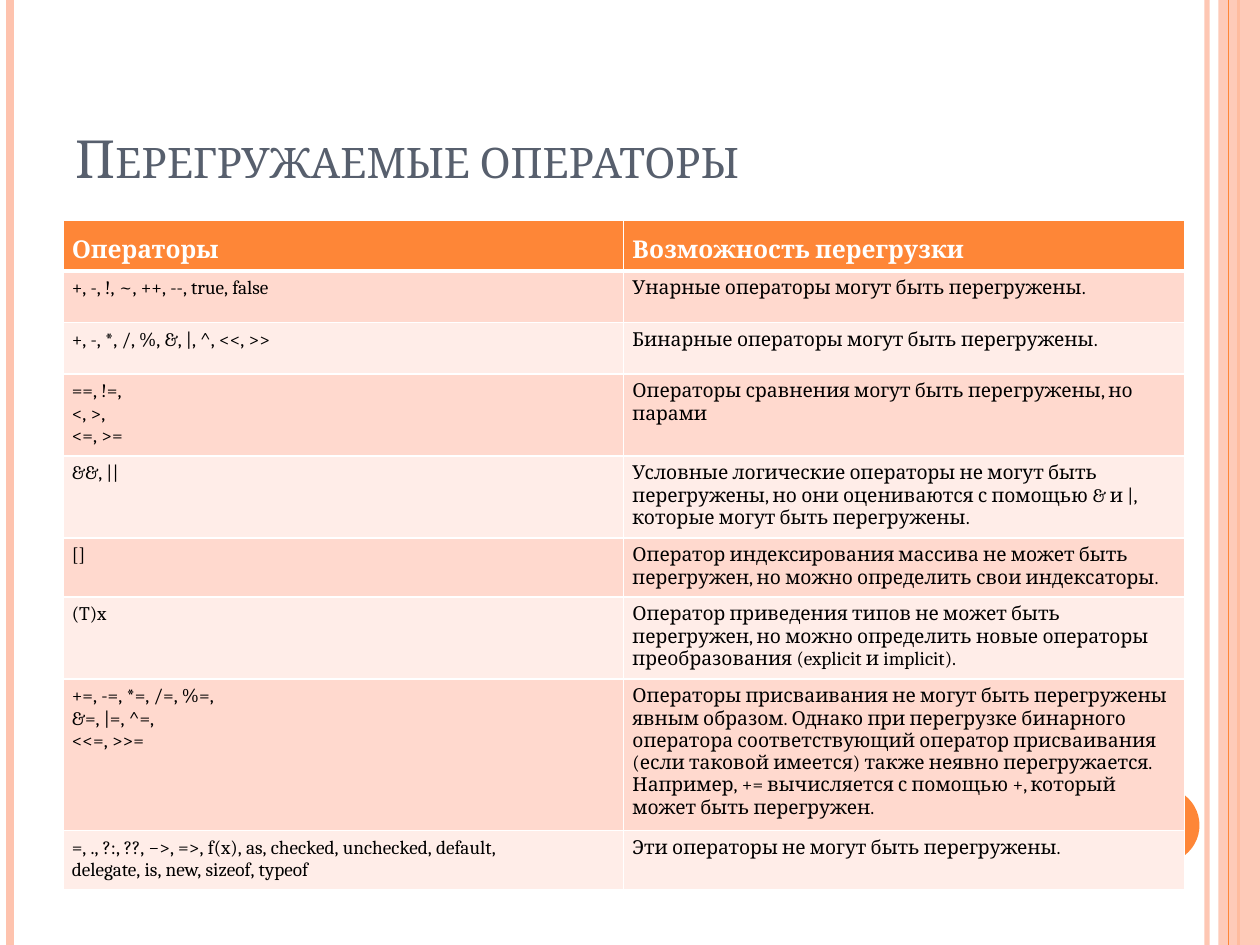
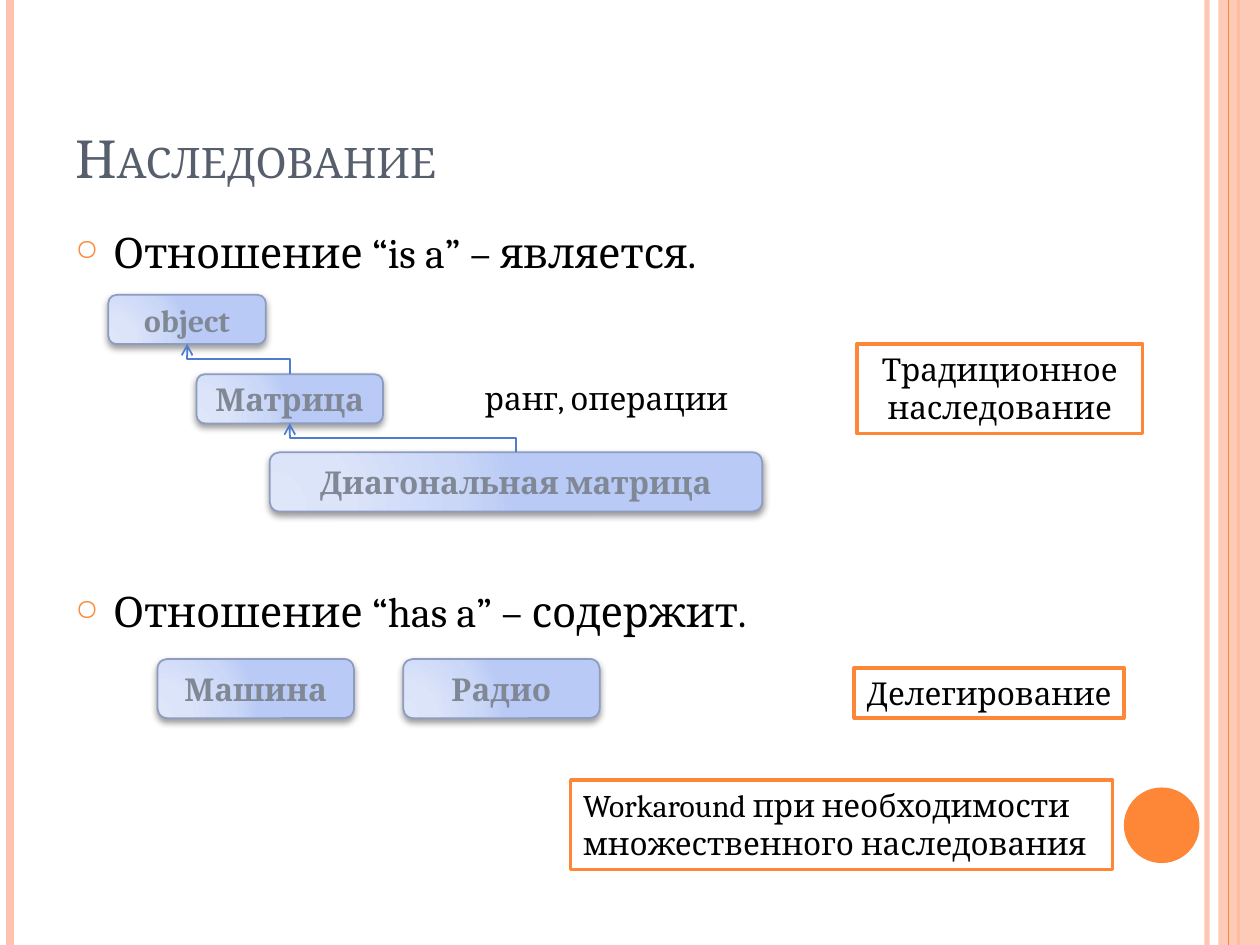
from lxml.etree import SubElement
from pptx import Presentation
from pptx.dml.color import RGBColor
from pptx.enum.shapes import MSO_CONNECTOR, MSO_SHAPE
from pptx.enum.text import MSO_ANCHOR, MSO_AUTO_SIZE, PP_ALIGN
from pptx.oxml import parse_xml
from pptx.oxml.ns import nsdecls, qn
from pptx.util import Inches, Pt

FONT = "Cambria"
ORANGE, PEACH, SLATE = "FE8637", "FEC3AE", "575F6D"
WHITE, BLACK = "FFFFFF", "000000"
BANDS = ("FFD9CE", "FFEDE8")
BOX_LINE, ARROW = "8D9CBF", "4F7CCF"
BOX_STOPS = [(0, "DEE6FA"), (30, "DBE4F9"), (75, "CAD7F7"), (100, "B8CAF5")]
BOX_PATH = ('<a:path path="circle"><a:fillToRect l="5000" t="100000" '
            'r="120000" b="10000"/></a:path>')
TEXT_STOPS = [(0, "383D45"), (78, "818895"), (100, "F3F4F5")]
TEXT_ANGLE = '<a:lin ang="5400000" scaled="0"/>'

HEADER = ("Операторы", "Возможность перегрузки")
ROWS = [
    (0.41, ["+, -, !, ~, ++, --, true, false"],
     "Унарные операторы могут быть перегружены."),
    (0.41, ["+, -, *, /, %, &, |, ^, <<, >>"],
     "Бинарные операторы могут быть перегружены."),
    (0.64, ["==, !=,", "<, >,", "<=, >="],
     "Операторы сравнения могут быть перегружены, но парами"),
    (0.64, ["&&, ||"],
     "Условные логические операторы не могут быть перегружены, но они "
     "оцениваются с помощью\u00a0&\u00a0и\u00a0|, которые могут быть перегружены."),
    (0.46, ["[]"],
     "Оператор индексирования массива не может быть перегружен, но можно "
     "определить свои\u00a0индексаторы."),
    (0.64, ["(T)x"],
     "Оператор приведения типов не может быть перегружен, но можно определить "
     "новые операторы преобразования (explicit\u00a0и\u00a0implicit)."),
    (1.17, ["+=, -=, *=, /=, %=,", "&=, |=, ^=,", "<<=, >>="],
     "Операторы присваивания не могут быть перегружены явным образом.\u00a0Однако "
     "при перегрузке бинарного оператора соответствующий оператор присваивания "
     "(если таковой имеется) также неявно перегружается. Например,\u00a0+="
     "\u00a0вычисляется с помощью\u00a0+, который может быть перегружен."),
    (0.46, ["=, ., ?:, ??, −>, =>, f(x), as, checked, unchecked, default,\n"
            "delegate, is, new, sizeof, typeof"],
     "Эти операторы не могут быть перегружены."),
]


def rgb(color):
    return RGBColor.from_string(color)


def bound(text):
    return text.replace(" ", "\u00a0").replace("\n", " ")


def gradient(stops, direction):
    gs = "".join(f'<a:gs pos="{pos * 1000}"><a:srgbClr val="{color}"/></a:gs>'
                 for pos, color in stops)
    return parse_xml(f'<a:gradFill {nsdecls("a")} rotWithShape="1">'
                     f'<a:gsLst>{gs}</a:gsLst>{direction}</a:gradFill>')


def set_alpha(fill_xml, percent):
    clr = next(fill_xml.iter(qn("a:srgbClr")))
    SubElement(clr, qn("a:alpha"), val=str(percent * 1000))


def add_run(p, text, size, color=BLACK, bold=False):
    r = p.add_run()
    r.text = text
    r.font.name, r.font.size, r.font.bold = FONT, Pt(size), bold
    r.font.color.rgb = rgb(color)
    return r


def add_shape(s, kind, box, fill=None, line=None, width=1):
    sp = s.shapes.add_shape(kind, *map(Inches, box))
    sp.shadow.inherit = False
    if fill:
        sp.fill.solid()
        sp.fill.fore_color.rgb = rgb(fill)
    if line:
        sp.line.color.rgb = rgb(line)
        sp.line.width = Pt(width)
    else:
        sp.line.fill.background()
    return sp


def add_line(s, kind, points, color, width):
    c = s.shapes.add_connector(kind, *map(Inches, points))
    c.line.color.rgb = rgb(color)
    c.line.width = Pt(width)
    SubElement(c._element.spPr, qn("a:effectLst"))
    return c


def add_text_box(s, box):
    tf = s.shapes.add_textbox(*map(Inches, box)).text_frame
    tf.word_wrap = True
    return tf


def add_frame(s):
    def stripe(x, color, width):
        return add_line(s, MSO_CONNECTOR.STRAIGHT, (x, 0, x, 7.5), color, width)

    set_alpha(stripe(9.58, PEACH, 3)._element.spPr, 93)
    stripe(0.08, PEACH, 4.5)
    stripe(9.83, ORANGE, 1.5)
    band = add_shape(s, MSO_SHAPE.RECTANGLE, (9.67, 0, 0.33, 7.5), PEACH)
    set_alpha(band._element.spPr, 87)
    stripe(9.75, ORANGE, 0.75)
    add_shape(s, MSO_SHAPE.OVAL, (8.92, 6.25, 0.6, 0.6), ORANGE)


def add_title(s, text):
    tf = add_text_box(s, (0.5, 0.3, 8.17, 1.25))
    tf.vertical_anchor = MSO_ANCHOR.BOTTOM
    r = add_run(tf.paragraphs[0], text, 30, SLATE)
    r._r.get_or_add_rPr().set("cap", "small")


def new_slide(prs, title):
    s = prs.slides.add_slide(prs.slide_layouts[6])
    add_frame(s)
    add_title(s, title)
    return s


def set_borders(cell, top, bottom):
    tcPr = cell._tc.get_or_add_tcPr()
    for i, (side, width) in enumerate(zip("LRTB", (1, 1, top, bottom))):
        tcPr.insert(i, parse_xml(
            f'<a:ln{side} {nsdecls("a")} w="{Pt(width)}"><a:solidFill>'
            f'<a:srgbClr val="{WHITE}"/></a:solidFill></a:ln{side}>'))


def fill_cell(cell, lines, size, color, fill, bold=False, top=1, bottom=1):
    cell.margin_left = cell.margin_right = Inches(0.07)
    cell.margin_top = cell.margin_bottom = Inches(0.05)
    cell.vertical_anchor = MSO_ANCHOR.BOTTOM if bold else MSO_ANCHOR.TOP
    cell.fill.solid()
    cell.fill.fore_color.rgb = rgb(fill)
    set_borders(cell, top, bottom)
    tf = cell.text_frame
    for i, text in enumerate(lines):
        p = tf.add_paragraph() if i else tf.paragraphs[0]
        add_run(p, text, size, color, bold)


def add_operator_table(s):
    heights = [0.4] + [row[0] for row in ROWS]
    table = s.shapes.add_table(len(heights), 2, Inches(0.5), Inches(1.75),
                               Inches(8.9), Inches(sum(heights))).table
    table.horz_banding = False
    for row, height in zip(table.rows, heights):
        row.height = Inches(height)
    for col, text in enumerate(HEADER):
        table.columns[col].width = Inches(4.45)
        fill_cell(table.cell(0, col), [text], 14, WHITE, ORANGE, True, bottom=3)
    for i, (_, operators, rule) in enumerate(ROWS):
        for col, lines in enumerate(([bound(o) for o in operators], [rule])):
            fill_cell(table.cell(i + 1, col), lines, 11, BLACK, BANDS[i % 2],
                      top=1 if i else 3)


def add_bullets(s, box, items):
    tf = add_text_box(s, box)
    for i, (text, before) in enumerate(items):
        p = tf.add_paragraph() if i else tf.paragraphs[0]
        p.space_before = Pt(before)
        pPr = p._p.get_or_add_pPr()
        pPr.set("marL", str(Inches(0.3)))
        pPr.set("indent", str(Inches(-0.3)))
        SubElement(SubElement(pPr, qn("a:buClr")), qn("a:srgbClr"), val=ORANGE)
        SubElement(pPr, qn("a:buSzPct"), val="70000")
        SubElement(pPr, qn("a:buChar"), char="○")
        add_run(p, text, 24)


def add_class_box(s, text, box):
    sp = add_shape(s, MSO_SHAPE.ROUNDED_RECTANGLE, box, WHITE, BOX_LINE)
    spPr = sp._element.spPr
    spPr.replace(spPr.find(qn("a:solidFill")), gradient(BOX_STOPS, BOX_PATH))
    shadow = SubElement(spPr.find(qn("a:effectLst")), qn("a:outerShdw"),
                        blurRad=str(Pt(4)), dist=str(Pt(2)), dir="5400000",
                        rotWithShape="0")
    clr = SubElement(shadow, qn("a:srgbClr"), val=BLACK)
    SubElement(clr, qn("a:alpha"), val="40000")
    tf = sp.text_frame
    tf.vertical_anchor = MSO_ANCHOR.MIDDLE
    p = tf.paragraphs[0]
    p.alignment = PP_ALIGN.CENTER
    rPr = add_run(p, text, 18, bold=True)._r.get_or_add_rPr()
    rPr.replace(rPr.find(qn("a:solidFill")), gradient(TEXT_STOPS, TEXT_ANGLE))


def add_inheritance(s, child, parent):
    x1, y1 = child[0] + child[2] / 2, child[1]
    x2, y2 = parent[0] + parent[2] / 2, parent[1] + parent[3]
    cx, cy = (x1 + x2) / 2, (y1 + y2) / 2
    rise, run = (y1 - y2) / 2, (x1 - x2) / 2
    c = add_line(s, MSO_CONNECTOR.ELBOW,
                 (cx - rise, cy + run, cx + rise, cy - run), ARROW, 1)
    c._element.spPr.find(qn("a:xfrm")).set("rot", "16200000")
    SubElement(c.line._get_or_add_ln(), qn("a:tailEnd"), type="arrow")


def add_note(s, text, box, align=PP_ALIGN.LEFT, framed=True):
    if framed:
        tf = add_shape(s, MSO_SHAPE.RECTANGLE, box, WHITE, ORANGE, 2).text_frame
        tf.vertical_anchor = MSO_ANCHOR.TOP
    else:
        tf = add_text_box(s, box)
    tf.word_wrap = True
    tf.auto_size = MSO_AUTO_SIZE.SHAPE_TO_FIT_TEXT
    p = tf.paragraphs[0]
    p.alignment = align
    add_run(p, text, 18)


def operators_slide(prs):
    add_operator_table(new_slide(prs, "Перегружаемые операторы"))


def inheritance_slide(prs):
    s = new_slide(prs, "Наследование")
    add_bullets(s, (0.5, 1.75, 8.41, 5.33),
                [("Отношение “is a” – является.", 6),
                 ("Отношение “has a” – содержит.", 176.5)])
    hierarchy = [("object", (0.86, 2.34, 1.25, 0.39)),
                 ("Матрица", (1.56, 2.97, 1.48, 0.39)),
                 ("Диагональная матрица", (2.14, 3.59, 3.91, 0.47))]
    parts = [("Машина", (1.25, 5.23, 1.56, 0.47)),
             ("Радио", (3.2, 5.23, 1.56, 0.47))]
    for text, box in hierarchy + parts:
        add_class_box(s, text, box)
    for (_, parent), (_, child) in zip(hierarchy, hierarchy[1:]):
        add_inheritance(s, child, parent)
    add_note(s, "ранг, операции", (3.75, 2.96, 2.66, 0.4), framed=False)
    add_note(s, "Традиционное наследование", (6.8, 2.73, 2.27, 0.71),
             PP_ALIGN.CENTER)
    add_note(s, "Делегирование", (6.78, 5.3, 2.14, 0.4))
    add_note(s, "Workaround при необходимости множественного наследования",
             (4.53, 6.19, 4.3, 0.71))


def main():
    prs = Presentation()
    prs.slide_width, prs.slide_height = Inches(10), Inches(7.5)
    operators_slide(prs)
    inheritance_slide(prs)
    prs.save("out.pptx")


main()
